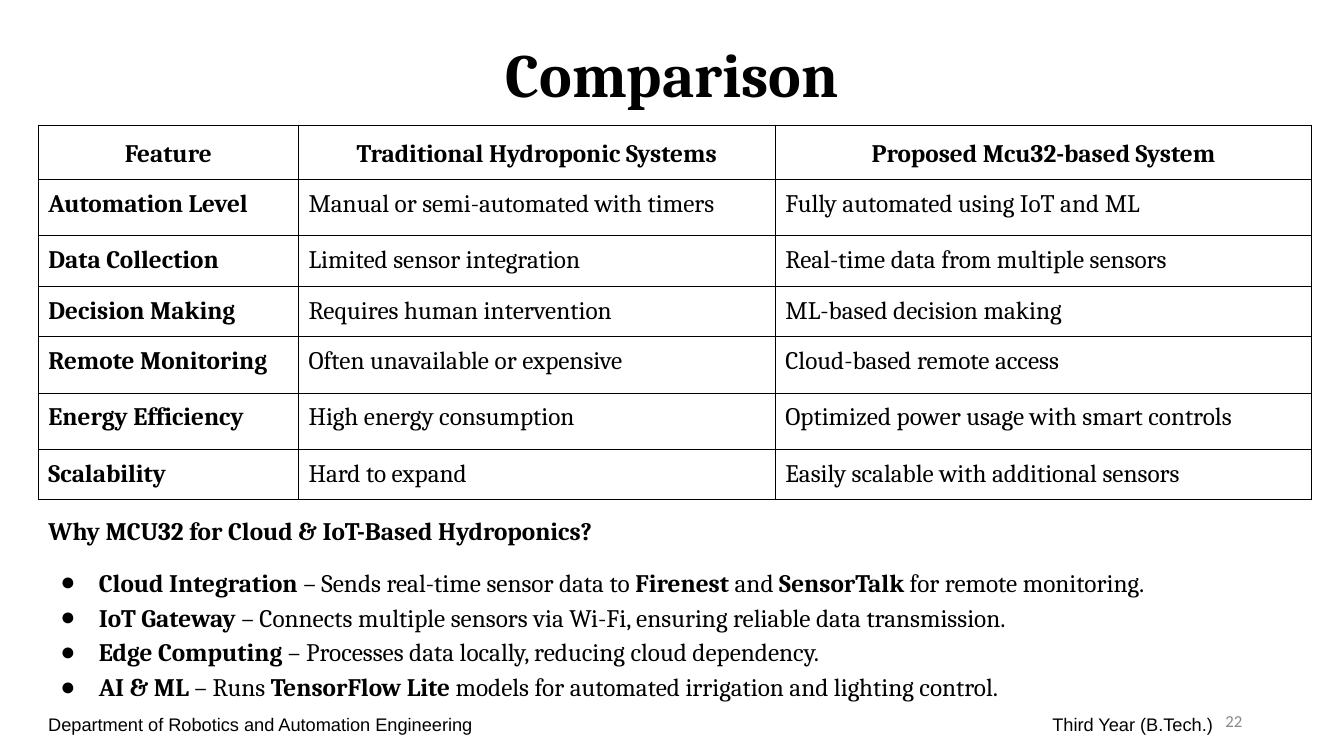
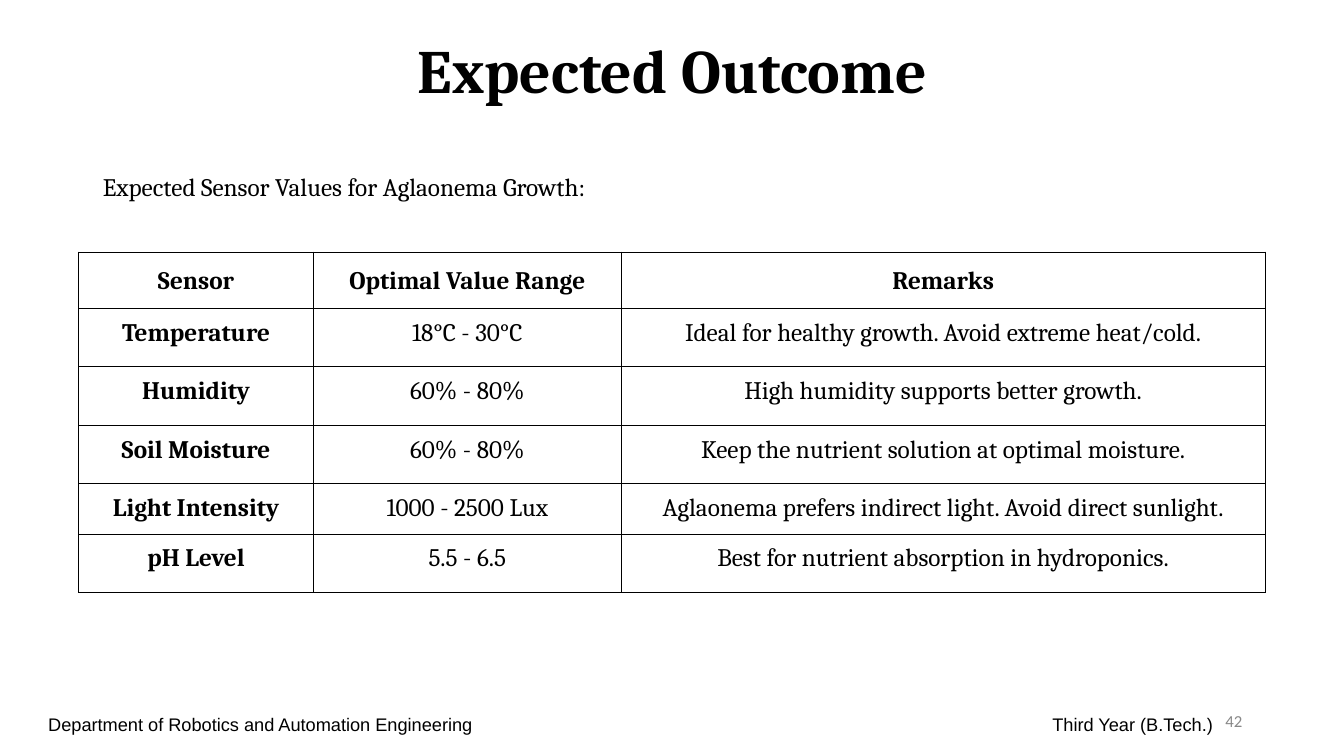
from pptx import Presentation
from pptx.dml.color import RGBColor
from pptx.enum.text import MSO_ANCHOR, MSO_AUTO_SIZE, PP_ALIGN
from pptx.oxml.ns import qn
from pptx.util import Inches, Pt
from lxml.etree import SubElement

HUES = {"ink": "000000", "paper": "FFFFFF", "mute": "888888"}
TITLE = {"name": "Cambria", "size": Pt(44), "bold": True}
TEXT = {"name": "Cambria", "size": Pt(18), "bold": False}
FOOT = {"name": "Arial", "size": Pt(13)}
PAGE = {"name": "Calibri", "size": Pt(12)}
WIDE = {"line_spacing": 1.15}
MID = {"alignment": PP_ALIGN.CENTER}
FLUSH = {"space_before": Pt(0), "space_after": Pt(0)}
FRAME = {"word_wrap": True, "auto_size": MSO_AUTO_SIZE.NONE}
PADS = ("margin_left", "margin_right", "margin_top", "margin_bottom")


def apply(item, values):
    for key, value in values.items():
        setattr(item, key, value)


def color(key):
    return RGBColor.from_string(HUES[key])


def place(shape, box):
    sides = ("left", "top", "width", "height")
    apply(shape, {side: Inches(size) for side, size in zip(sides, box)})


def setup(frame, pad=0.1, anchor=MSO_ANCHOR.TOP):
    apply(frame, FRAME)
    apply(frame, {name: Inches(0.1) for name in PADS[:2]})
    apply(frame, {name: Inches(pad) for name in PADS[2:]})
    frame.vertical_anchor = anchor


def write(para, text, font, style, hue="ink"):
    apply(para, style)
    for spot, part in enumerate(text.split("**")):
        if part:
            run = para.add_run()
            run.text = part
            apply(run.font, font)
            run.font.color.rgb = color(hue)
            if spot % 2:
                run.font.bold = True


def indent(para, left=0, first=0, mark=None):
    props = para._p.get_or_add_pPr()
    props.set("marL", str(Inches(left)))
    props.set("indent", str(Inches(first)))
    if mark:
        tint = SubElement(props, qn("a:buClr"))
        SubElement(tint, qn("a:srgbClr"), val=HUES["ink"])
        SubElement(props, qn("a:buChar"), char=mark)
    else:
        SubElement(props, qn("a:buNone"))


def head(slide, box, text, space):
    title = slide.shapes.title
    place(title, box)
    setup(title.text_frame, 0.05, MSO_ANCHOR.MIDDLE)
    write(title.text_frame.paragraphs[0], text, TITLE, {**MID, "line_spacing": space})


def body(slide, box, lead, points=(), style=FLUSH):
    shape = slide.placeholders[1]
    place(shape, box)
    frame = shape.text_frame
    setup(frame)
    para = frame.paragraphs[0]
    indent(para)
    write(para, lead, TEXT, {**FLUSH, **style})
    for spot, point in enumerate(points):
        para = frame.add_paragraph()
        indent(para, 0.5, -0.38, "●")
        gap = {"space_before": Pt(0 if spot else 12)}
        write(para, point, TEXT, {**FLUSH, **style, **gap})


def footer(slide, box, number):
    left, top, width, height = box
    note = slide.shapes.add_textbox(0, 0, 0, 0)
    place(note, box)
    setup(note.text_frame)
    para = note.text_frame.paragraphs[0]
    tabs = SubElement(para._p.get_or_add_pPr(), qn("a:tabLst"))
    SubElement(tabs, qn("a:tab"), pos=str(Inches(11.55)), algn="r")
    text = "Department of Robotics and Automation Engineering\tThird Year (B.Tech.)"
    write(para, text, FOOT, WIDE)
    page = slide.shapes.add_textbox(0, 0, 0, 0)
    place(page, (left + width - 3.38, top + 0.01, 3, 0.4))
    setup(page.text_frame, 0.05, MSO_ANCHOR.MIDDLE)
    write(page.text_frame.paragraphs[0], number, PAGE,
          {"alignment": PP_ALIGN.RIGHT}, "mute")


def border(cell):
    props = cell._tc.get_or_add_tcPr()
    for spot, side in enumerate(("lnL", "lnR", "lnT", "lnB")):
        line = props.makeelement(qn("a:" + side), {"w": str(Pt(0.75))})
        fill = SubElement(line, qn("a:solidFill"))
        SubElement(fill, qn("a:srgbClr"), val=HUES["ink"])
        props.insert(spot, line)


def grid(slide, spot, cols, rows, data, style):
    box = (*spot, sum(cols), sum(rows))
    shape = slide.shapes.add_table(len(rows), len(cols), *map(Inches, box))
    table = shape.table
    apply(table, {"first_row": False, "horz_banding": False})
    for col, width in zip(table.columns, cols):
        col.width = Inches(width)
    for row, height in zip(table.rows, rows):
        row.height = Inches(height)
    for y, texts in enumerate(data):
        for x, text in enumerate(texts):
            cell = table.cell(y, x)
            apply(cell, {name: Inches(0.1) for name in PADS})
            cell.fill.solid()
            cell.fill.fore_color.rgb = color("paper")
            border(cell)
            font = {**TEXT, "bold": y == 0 or x == 0}
            write(cell.text_frame.paragraphs[0], text, font,
                  style if y else {**MID, **WIDE})


def start(deck, number):
    slide = deck.slides.add_slide(deck.slide_layouts[1])
    footer(slide, (0.38, 6.94, 12.42, 0.42), number)
    return slide


def compare(deck):
    slide = start(deck, "22")
    head(slide, (0.88, 0.1, 11.58, 1.14), "Comparison", 1.15)
    data = (
        ("Feature", "Traditional Hydroponic Systems", "Proposed Mcu32-based System"),
        ("Automation Level", "Manual or semi-automated with timers",
         "Fully automated using IoT and ML"),
        ("Data Collection", "Limited sensor integration",
         "Real-time data from multiple sensors"),
        ("Decision Making", "Requires human intervention", "ML-based decision making"),
        ("Remote Monitoring", "Often unavailable or expensive",
         "Cloud-based remote access"),
        ("Energy Efficiency", "High energy consumption",
         "Optimized power usage with smart controls"),
        ("Scalability", "Hard to expand", "Easily scalable with additional sensors"),
    )
    rows = (0.54, 0.56, 0.5, 0.5, 0.56, 0.56, 0.5)
    grid(slide, (0.38, 1.24), (2.58, 4.73, 5.32), rows, data, {})
    points = (
        "**Cloud Integration** – Sends real-time sensor data to **Firenest** and "
        "**SensorTalk** for remote monitoring.",
        "**IoT Gateway** – Connects multiple sensors via Wi-Fi, ensuring reliable "
        "data transmission.",
        "**Edge Computing** – Processes data locally, reducing cloud dependency.",
        "**AI & ML** – Runs **TensorFlow Lite** models for automated irrigation "
        "and lighting control.",
    )
    body(slide, (0.38, 4.97, 12.63, 2.07),
         "**Why MCU32 for Cloud & IoT-Based Hydroponics?**", points, WIDE)


def outcome(deck):
    slide = start(deck, "42")
    head(slide, (0.92, 0, 11.5, 1.45), "Expected Outcome", 0.9)
    data = (
        ("Sensor", "Optimal Value Range", "Remarks"),
        ("Temperature", "18°C - 30°C",
         "Ideal for healthy growth. Avoid extreme heat/cold."),
        ("Humidity", "60% - 80%", "High humidity supports better growth."),
        ("Soil Moisture", "60% - 80%",
         "Keep the nutrient solution at optimal moisture."),
        ("Light Intensity", "1000 - 2500 Lux",
         "Aglaonema prefers indirect light. Avoid direct sunlight."),
        ("pH Level", "5.5 - 6.5", "Best for nutrient absorption in hydroponics."),
    )
    rows = (0.56, 0.58, 0.58, 0.58, 0.5, 0.58)
    grid(slide, (0.78, 2.5), (2.33, 3.05, 6.39), rows, data, MID)
    body(slide, (0.92, 1.6, 9.96, 0.5), "Expected Sensor Values for Aglaonema Growth:")


def main():
    deck = Presentation()
    apply(deck, {"slide_width": Inches(13.33), "slide_height": Inches(7.5)})
    compare(deck)
    outcome(deck)
    deck.save("out.pptx")


if __name__ == "__main__":
    main()
